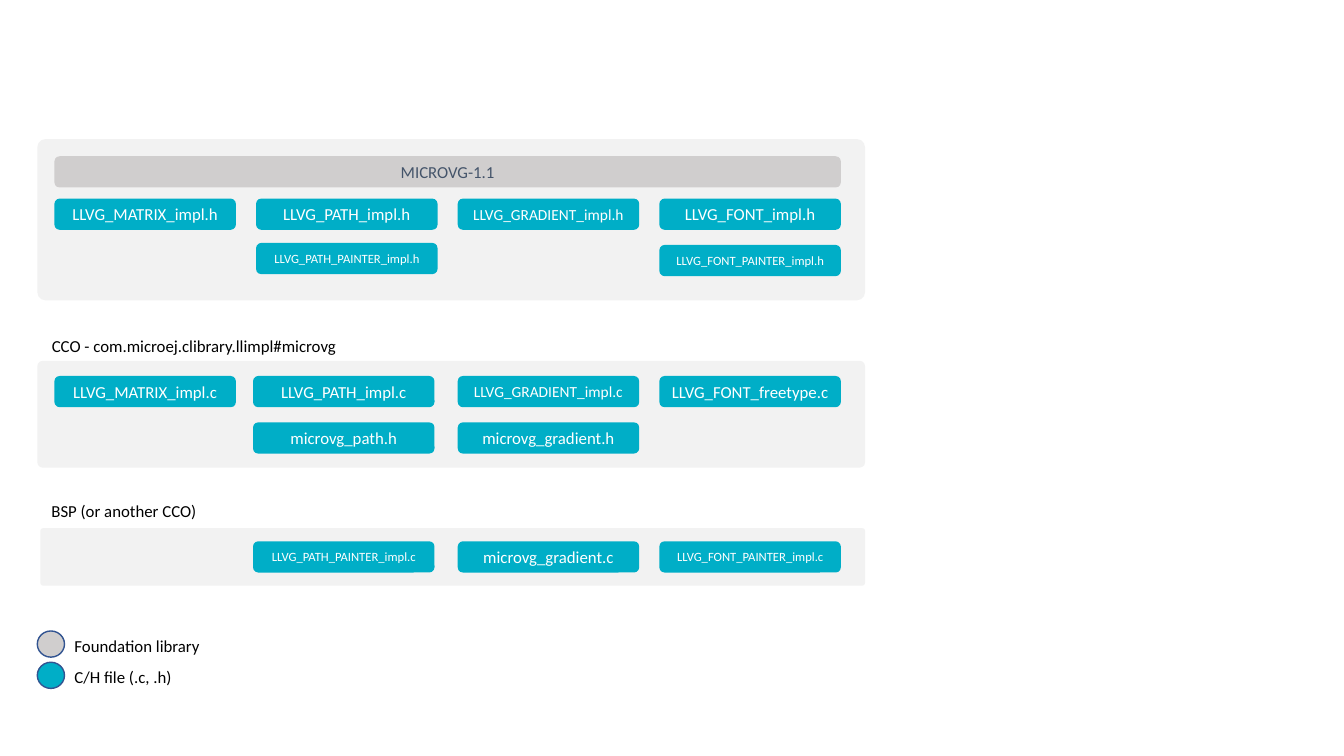
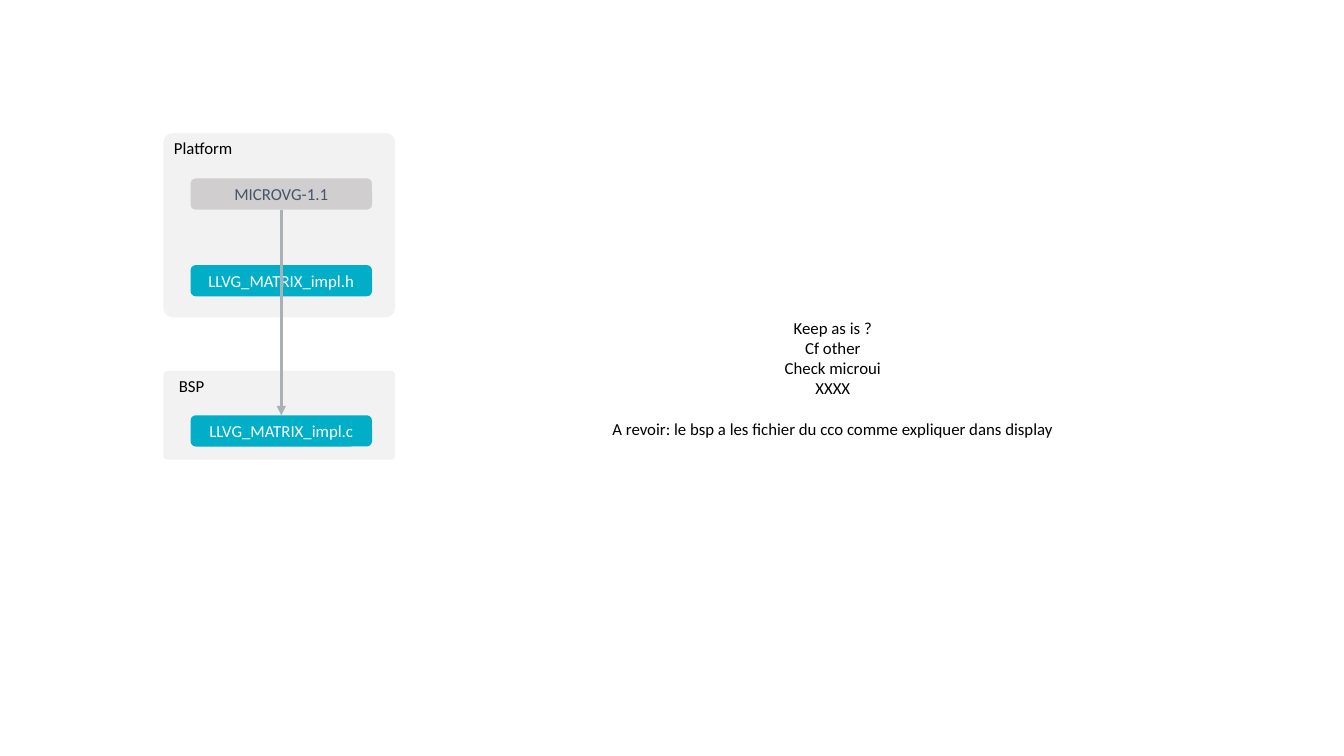
"""Build two diagrams of the MICROVG library files and where they are implemented."""
from dataclasses import dataclass

from lxml import etree
from pptx import Presentation
from pptx.dml.color import RGBColor
from pptx.enum.shapes import MSO_CONNECTOR, MSO_SHAPE
from pptx.enum.text import MSO_ANCHOR, MSO_AUTO_SIZE, PP_ALIGN
from pptx.oxml.ns import qn
from pptx.util import Inches, Pt

ROUNDED, OVAL = MSO_SHAPE.ROUNDED_RECTANGLE, MSO_SHAPE.OVAL
STRAIGHT = MSO_CONNECTOR.STRAIGHT
CENTER, LEFT = PP_ALIGN.CENTER, PP_ALIGN.LEFT
MIDDLE, FIT_TEXT = MSO_ANCHOR.MIDDLE, MSO_AUTO_SIZE.SHAPE_TO_FIT_TEXT
BOTTOM_SITE, TOP_SITE = 2, 0


@dataclass(frozen=True)
class Theme:
    """Colours, font and type sizes shared by the slides."""
    panel: str = "F2F2F2"
    library: str = "D0CECE"
    library_text: str = "44546A"
    file: str = "00AEC7"
    file_text: str = "FFFFFF"
    text: str = "000000"
    outline: str = "325491"
    arrow: str = "A9B1B5"
    font: str = "Calibri"
    normal: float = 12
    compact: float = 11
    small: float = 9
    blank_line: float = 14.6


THEME = Theme()
BOX_WIDTH, BOX_HEIGHT, LABEL_HEIGHT = 1.8, 0.31, 0.3
PANEL_ROUNDING = 0.051
LIBRARY = "MICROVG-1.1"

OVERVIEW_PANELS = [(0.4, 5.24, 8.18, 0.57), (0.37, 3.58, 8.21, 1.06), (0.37, 1.38, 8.21, 1.6)]
OVERVIEW_LABELS = [
    ("CCO - com.microej.clibrary.llimpl#microvg", 0.4, 3.28, 3.05),
    ("BSP (or another CCO)", 0.4, 4.92, 1.66),
]
OVERVIEW_LIBRARY = (0.54, 1.55, 7.8)
MATRIX, PATH_HEADER, PATH_SOURCE, GRADIENT, FONT = 0.54, 2.54, 2.51, 4.54, 6.54
OVERVIEW_FILES = [
    (1.97, [("LLVG_MATRIX_impl.h", MATRIX, THEME.normal),
            ("LLVG_PATH_impl.h", PATH_HEADER, THEME.normal),
            ("LLVG_GRADIENT_impl.h", GRADIENT, THEME.compact),
            ("LLVG_FONT_impl.h", FONT, THEME.normal)]),
    (2.41, [("LLVG_PATH_PAINTER_impl.h", PATH_HEADER, THEME.small)]),
    (2.43, [("LLVG_FONT_PAINTER_impl.h", FONT, THEME.small)]),
    (3.73, [("LLVG_MATRIX_impl.c", MATRIX, THEME.normal),
            ("LLVG_PATH_impl.c", PATH_SOURCE, THEME.normal),
            ("LLVG_GRADIENT_impl.c", GRADIENT, THEME.compact),
            ("LLVG_FONT_freetype.c", FONT, THEME.normal)]),
    (4.19, [("microvg_path.h", PATH_SOURCE, THEME.normal),
            ("microvg_gradient.h", GRADIENT, THEME.normal)]),
    (5.37, [("LLVG_PATH_PAINTER_impl.c", PATH_SOURCE, THEME.small),
            ("microvg_gradient.c", GRADIENT, THEME.normal),
            ("LLVG_FONT_PAINTER_impl.c", FONT, THEME.small)]),
]
LEGEND = [("Foundation library", THEME.library), ("C/H file (.c, .h)", THEME.file)]
LEGEND_LEFT, LEGEND_TOP, LEGEND_STEP = 0.37, 6.26, 0.31
DOT_WIDTH, DOT_HEIGHT, LEGEND_TEXT_WIDTH = 0.27, 0.26, 1.71

MATRIX_PANELS = [(1.62, 3.68, 2.3, 0.88), (1.62, 1.32, 2.3, 1.83)]
MATRIX_LABELS = [("BSP", 1.67, 3.68, 0.46), ("Platform", 1.62, 1.32, 0.79)]
MATRIX_BOX_LEFT, MATRIX_LIBRARY_TOP = 1.89, 1.77
MATRIX_FILES = [("LLVG_MATRIX_impl.h", 2.63), ("LLVG_MATRIX_impl.c", 4.12)]
REMARKS = ["Keep as is ?", "Cf other", "Check microui", "XXXX",
           "A revoir: le bsp a les fichier du cco comme expliquer dans display"]
REMARKS_BOX = (5.95, 3.1, 4.62, 1.31)


def style_paragraph(paragraph, color, size, alignment):
    """Apply the theme font to one paragraph."""
    paragraph.alignment = alignment
    paragraph.font.name = THEME.font
    paragraph.font.size = Pt(size)
    paragraph.font.color.rgb = RGBColor.from_string(color)


def add_filled(shapes, kind, box, color, outline=None):
    """Add a flat preset shape, outlined only on request."""
    shape = shapes.add_shape(kind, *map(Inches, box))
    shape.shadow.inherit = False
    shape.fill.solid()
    shape.fill.fore_color.rgb = RGBColor.from_string(color)
    if outline:
        shape.line.color.rgb = RGBColor.from_string(outline)
        shape.line.width = Pt(1)
    else:
        shape.line.fill.background()
    return shape


def add_box(shapes, text, left, top, fill, color, size=THEME.normal, width=BOX_WIDTH):
    """Add a rounded box with one centred name."""
    shape = add_filled(shapes, ROUNDED, (left, top, width, BOX_HEIGHT), fill)
    frame = shape.text_frame
    frame.margin_left = frame.margin_right = Inches(0.05)
    frame.vertical_anchor = MIDDLE
    frame.text = text
    style_paragraph(frame.paragraphs[0], color, size, CENTER)
    return shape


def add_library(shapes, left, top, width=BOX_WIDTH):
    """Add the foundation library box."""
    return add_box(shapes, LIBRARY, left, top, THEME.library, THEME.library_text, width=width)


def add_file(shapes, name, left, top, size=THEME.normal):
    """Add a C or H file box."""
    return add_box(shapes, name, left, top, THEME.file, THEME.file_text, size)


def add_text(shapes, lines, box, alignment=CENTER, wrap=False):
    """Add a text box with one paragraph per line."""
    text_box = shapes.add_textbox(*map(Inches, box))
    frame = text_box.text_frame
    frame.word_wrap = wrap
    frame.auto_size = FIT_TEXT
    frame.text = "\n".join(lines)
    for paragraph in frame.paragraphs:
        style_paragraph(paragraph, THEME.text, THEME.normal, alignment)
    return text_box


def add_panels(shapes, panels, labels):
    """Add the grey panels and their labels."""
    for box in panels:
        add_filled(shapes, ROUNDED, box, THEME.panel).adjustments[0] = PANEL_ROUNDING
    for text, left, top, width in labels:
        add_text(shapes, [text], (left, top, width, LABEL_HEIGHT))


def add_arrow(shapes, source, target):
    """Join the bottom of one box to the top of another with an arrow."""
    connector = shapes.add_connector(STRAIGHT, 0, 0, 0, 0)
    connector.begin_connect(source, BOTTOM_SITE)
    connector.end_connect(target, TOP_SITE)
    connector.line.color.rgb = RGBColor.from_string(THEME.arrow)
    connector.line.width = Pt(2.25)
    etree.SubElement(connector.line._get_or_add_ln(), qn("a:tailEnd"), type="triangle")
    etree.SubElement(connector._element.spPr, qn("a:effectLst"))


def build_overview(slide):
    """Show every file by the place that holds it."""
    shapes = slide.shapes
    add_panels(shapes, OVERVIEW_PANELS, OVERVIEW_LABELS)
    add_library(shapes, *OVERVIEW_LIBRARY)
    for top, files in OVERVIEW_FILES:
        for name, left, size in files:
            add_file(shapes, name, left, top, size)
    for index, (text, color) in enumerate(LEGEND):
        top = LEGEND_TOP + index * LEGEND_STEP
        entry = shapes.add_group_shape().shapes
        add_filled(entry, OVAL, (LEGEND_LEFT, top, DOT_WIDTH, DOT_HEIGHT), color, THEME.outline)
        text_place = (LEGEND_LEFT + DOT_WIDTH, top, LEGEND_TEXT_WIDTH, LABEL_HEIGHT)
        add_text(entry, [text], text_place, LEFT, wrap=True)


def build_matrix(slide):
    """Show the path from the library to the matrix implementation."""
    shapes = slide.shapes
    add_panels(shapes, MATRIX_PANELS, MATRIX_LABELS)
    library = add_library(shapes, MATRIX_BOX_LEFT, MATRIX_LIBRARY_TOP)
    files = [add_file(shapes, name, MATRIX_BOX_LEFT, top) for name, top in MATRIX_FILES]
    add_arrow(shapes, library, files[-1])
    remarks = add_text(shapes, REMARKS, REMARKS_BOX)
    remarks.text_frame.paragraphs[-1].space_before = Pt(THEME.blank_line)


def main():
    """Build and save the presentation."""
    presentation = Presentation()
    presentation.slide_width = Inches(13.33)
    presentation.slide_height = Inches(7.5)
    blank_layout = presentation.slide_layouts.get_by_name("Blank")
    for build in (build_overview, build_matrix):
        build(presentation.slides.add_slide(blank_layout))
    presentation.save("out.pptx")


if __name__ == "__main__":
    main()
